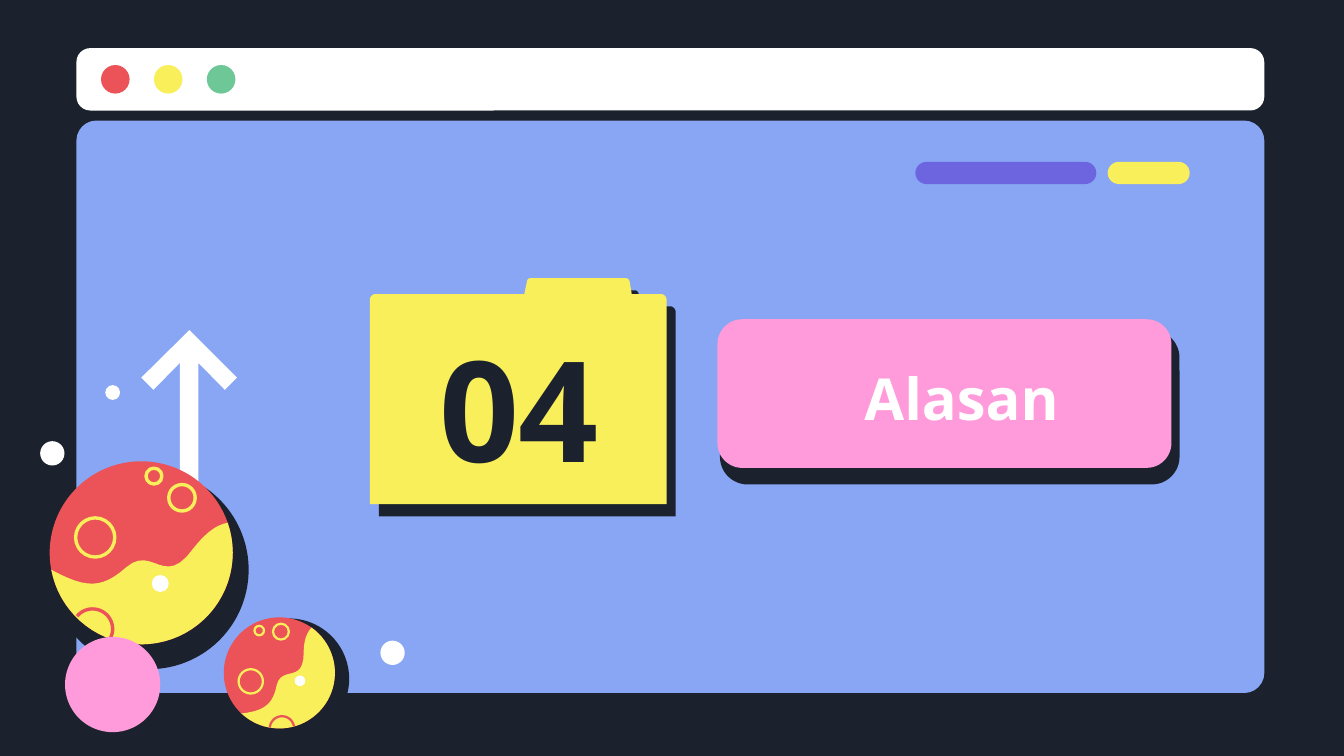
from math import atan2, cos, pi, sin

from lxml import etree
from pptx import Presentation
from pptx.dml.color import RGBColor
from pptx.enum.shapes import MSO_SHAPE
from pptx.enum.text import MSO_ANCHOR, PP_ALIGN
from pptx.oxml.ns import qn
from pptx.util import Cm, Pt

OVAL = MSO_SHAPE.OVAL
ROUNDED = MSO_SHAPE.ROUNDED_RECTANGLE
COLORS = {name: RGBColor.from_string(code) for name, code in {
    "dark": "1B222D", "blue": "88A6F3", "white": "FFFFFF", "red": "EB5358",
    "yellow": "F8EF5B", "green": "6DC797", "purple": "6D65E0", "pink": "FF9BDA",
}.items()}

deck = Presentation()
deck.slide_width, deck.slide_height = Cm(25.4), Cm(14.29)
page = deck.slides.add_slide(deck.slide_layouts[6])
page.background.fill.solid()
page.background.fill.fore_color.rgb = COLORS["dark"]


def preset(kind, center_x, center_y, width, height, color):
    """Add a plain preset shape around a centre, in centimetres."""
    shape = page.shapes.add_shape(kind, Cm(center_x - width / 2), Cm(center_y - height / 2),
                                  Cm(width), Cm(height))
    shape.shadow.inherit = False
    shape.fill.solid()
    shape.fill.fore_color.rgb = COLORS[color]
    shape.line.fill.background()
    return shape


def outline(steps, color, shift=(0, 0), closed=True):
    """Draw an outline from points (x, y) and Bezier steps (x1, y1, x2, y2, x, y)."""
    points = [steps[0]]
    for step in steps[1:]:
        if len(step) == 2:
            points.append(step)
            continue
        controls = [points[-1], step[:2], step[2:4], step[4:]]
        for part in range(1, 13):
            t = part / 12
            weights = [(1 - t) ** 3, 3 * t * (1 - t) ** 2, 3 * t * t * (1 - t), t ** 3]
            points.append(tuple(sum(w * point[axis] for w, point in zip(weights, controls))
                                for axis in (0, 1)))
    points = [(Cm(x + shift[0]), Cm(y + shift[1])) for x, y in points]
    builder = page.shapes.build_freeform(*points[0])
    builder.add_line_segments(points[1:], close=closed)
    shape = builder.convert_to_shape()
    shape.shadow.inherit = False
    if closed:
        shape.fill.solid()
        shape.fill.fore_color.rgb = COLORS[color]
        shape.line.fill.background()
    else:
        shape.fill.background()
        shape.line.color.rgb = COLORS[color]
    return shape


# Browser window
preset(ROUNDED, 12.67, 7.69, 22.45, 10.82, "blue").adjustments[0] = 0.035
preset(ROUNDED, 12.67, 1.5, 22.45, 1.18, "white").adjustments[0] = 0.223
for index, color in enumerate(["red", "yellow", "green"]):
    preset(OVAL, 2.18 + index, 1.5, 0.54, 0.54, color)
for center_x, width, color in [(19.01, 3.42, "purple"), (21.71, 1.55, "yellow")]:
    preset(ROUNDED, center_x, 3.27, width, 0.42, color).adjustments[0] = 0.5

# Upward arrow
outline([(3.4, 10.9), (3.4, 6.86), (2.9, 7.37), (2.67, 7.14), (3.58, 6.24),
         (4.48, 7.14), (4.25, 7.37), (3.75, 6.86), (3.75, 10.9)], "white")

# Button and folder with their hard shadows
button_shadow = preset(ROUNDED, 17.95, 7.7, 8.58, 2.81, "dark")
button_shadow.line.color.rgb = COLORS["dark"]
button_shadow.line.width = Pt(3)
preset(ROUNDED, 17.85, 7.44, 8.58, 2.81, "pink")
folder = [(12.6, 5.67), (12.6, 9.53), (6.99, 9.53), (6.99, 5.67),
          (6.99, 5.61, 7.04, 5.56, 7.1, 5.56), (9.91, 5.56), (9.96, 5.32),
          (9.97, 5.28, 9.99, 5.26, 10.03, 5.26), (11.83, 5.26),
          (11.86, 5.26, 11.89, 5.28, 11.9, 5.32), (11.94, 5.56), (12.49, 5.56),
          (12.55, 5.56, 12.6, 5.61, 12.6, 5.67)]
outline(folder, "dark", shift=(0.17, 0.23))
outline(folder, "yellow")

# Titles
for text, left, top, width, size, color in [("04", 7.65, 6.43, 4.32, 75, "dark"),
                                            ("Alasan", 13.56, 6.25, 9.22, 31, "white")]:
    box = page.shapes.add_textbox(Cm(left), Cm(top), Cm(width), Cm(2.51))
    frame = box.text_frame
    frame.word_wrap = True
    frame.vertical_anchor = MSO_ANCHOR.MIDDLE
    frame.margin_left = frame.margin_right = frame.margin_top = frame.margin_bottom = Cm(0.25)
    frame.text = text
    para = frame.paragraphs[0]
    para.alignment = PP_ALIGN.CENTER
    font = para.runs[0].font
    font.name, font.size, font.bold = "Open Sans", Pt(size), True
    font.color.rgb = COLORS[color]

# Planets: circles are (centre x, centre y, radius)
planets = [
    {"body": (2.67, 10.45, 1.73), "shadow": (2.82, 10.77, 1.88), "dot": (3.03, 11.03, 0.16),
     "rings": [(1.8, 10.16, 0.37), (3.44, 9.41, 0.25), (2.91, 9, 0.15)],
     "crater": (1.75, 11.89, 0.38), "stroke": 1.8,
     "wave": [(0.97, 10.77), (1.63, 11.13, 1.93, 11.13, 2.39, 10.72),
              (2.9, 10.29, 3.1, 11.15, 3.66, 10.36), (3.94, 10.01, 4.14, 9.91, 4.32, 9.88)]},
    {"body": (5.28, 12.72, 1.05), "shadow": (5.46, 12.83, 1.14), "dot": (5.67, 12.87, 0.1),
     "rings": [(4.74, 12.88, 0.23), (5.31, 11.94, 0.15), (4.9, 11.92, 0.09)],
     "crater": (5.33, 13.77, 0.23), "stroke": 1.2,
     "wave": [(4.55, 13.49), (5, 13.44, 5.16, 13.31, 5.23, 12.95),
              (5.33, 12.57, 5.74, 12.93, 5.74, 12.34), (5.74, 12.07, 5.82, 11.94, 5.89, 11.86)]},
]
for planet in planets:
    for part, color in [("shadow", "dark"), ("body", "red")]:
        x, y, radius = planet[part]
        preset(OVAL, x, y, 2 * radius, 2 * radius, color)
    body_x, body_y, body_radius = planet["body"]

    # The lower half follows the wave, then the rim back to its start
    wave = planet["wave"]
    first, last = [atan2(step[-1] - body_y, step[-2] - body_x) for step in (wave[-1], wave[0])]
    angles = [first + (last - first) * part / 40 for part in range(41)]
    rim = [(body_x + body_radius * cos(a), body_y + body_radius * sin(a)) for a in angles]
    outline(wave + rim, "yellow")

    for x, y, radius in planet["rings"]:
        ring = preset(OVAL, x, y, 2 * radius, 2 * radius, "yellow")
        ring.fill.background()
        ring.line.color.rgb = COLORS["yellow"]
        ring.line.width = Pt(planet["stroke"])

    # The crater shows only where it lies inside the planet
    x, y, radius = planet["crater"]
    middle = atan2(body_y - y, body_x - x)
    angles = [middle + pi * 0.46 * part / 12 for part in range(-12, 13)]
    arc = [(x + radius * cos(a), y + radius * sin(a)) for a in angles]
    outline(arc, "red", closed=False).line.width = Pt(planet["stroke"])
    x, y, radius = planet["dot"]
    preset(OVAL, x, y, 2 * radius, 2 * radius, "white")

# Loose dots
for x, y, size, color in [(2.13, 12.94, 1.8, "pink"), (0.99, 8.57, 0.46, "white"),
                          (7.42, 12.34, 0.46, "white"), (2.13, 7.42, 0.28, "white")]:
    preset(OVAL, x, y, size, size, color)

# Shapes need no theme effects
for style in page.shapes.element.iter(qn("p:style")):
    etree.strip_elements(style, qn("a:effectRef") + "Unused")

deck.save("out.pptx")
